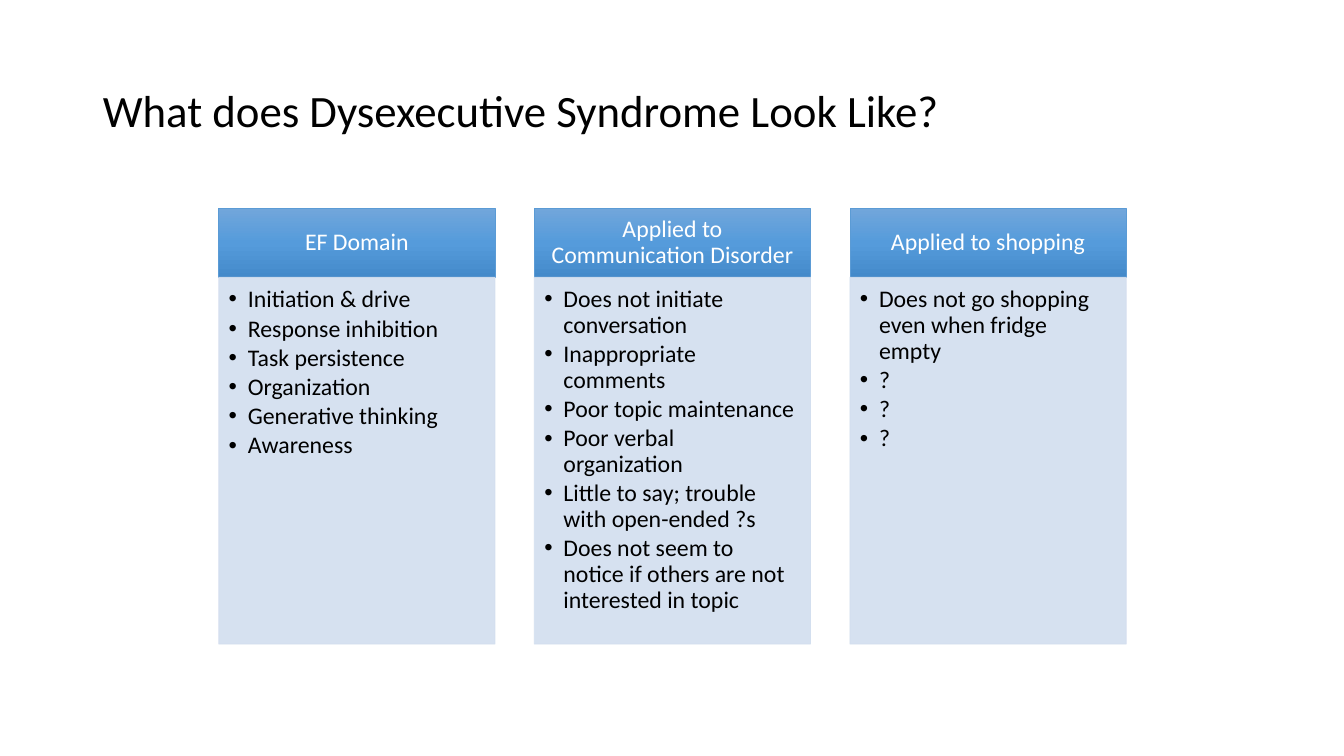
from copy import deepcopy

from lxml import etree
from pptx import Presentation
from pptx.dml.color import RGBColor
from pptx.enum.shapes import MSO_SHAPE
from pptx.enum.text import MSO_ANCHOR, PP_ALIGN
from pptx.oxml.ns import qn
from pptx.util import Inches, Pt

TITLE = "What does Dysexecutive Syndrome Look Like?"
COLUMNS = [
    ("EF Domain", [
        "Initiation & drive",
        "Response inhibition",
        "Task persistence",
        "Organization",
        "Generative thinking",
        "Awareness",
    ]),
    ("Applied to Communication Disorder", [
        "Does not initiate conversation",
        "Inappropriate comments",
        "Poor topic maintenance",
        "Poor verbal organization",
        "Little to say; trouble with open-ended ?s",
        "Does not seem to notice if others are not interested in topic",
    ]),
    ("Applied to shopping", ["Does not go shopping even when fridge empty", "?", "?", "?"]),
]

FONT = "Calibri"
TEXT_SIZE = 17
HEADER_GRADIENT = ["71A6DB", "559BDB", "448ACA"]
HEADER_LINE = "5B9BD5"
BODY_COLOR = "D2DEEF"
LEFT, TOP, PITCH, WIDTH = 2.17, 2.07, 3.13, 2.74
HEADER_HEIGHT, BODY_HEIGHT = 0.68, 3.64
INDENT = Inches(0.19)


def rgb(hex_color):
    return RGBColor.from_string(hex_color)


def add_run(p, text, size, color):
    p.line_spacing = 0.9
    r = p.add_run()
    r.text = text
    r.font.name, r.font.size = FONT, Pt(size)
    r.font.color.rgb = rgb(color)


def add_box(slide, left, top, height, line_color, insets, anchor):
    sp = slide.shapes.add_shape(MSO_SHAPE.RECTANGLE, Inches(left), Inches(top),
                                Inches(WIDTH), Inches(height))
    sp.shadow.inherit = False
    sp.line.color.rgb = rgb(line_color)
    sp.line.width = Pt(0.5)
    tf = sp.text_frame
    tf.word_wrap = True
    tf.vertical_anchor = anchor
    tf.margin_left, tf.margin_top, tf.margin_right, tf.margin_bottom = map(Inches, insets)
    return sp


def fill_header(sp):
    """Fill with an evenly spaced gradient running from top to bottom."""
    sp.fill.gradient()
    sp.fill.gradient_angle = 270
    first = sp._element.spPr.find(".//" + qn("a:gs"))
    first.addnext(deepcopy(first))
    for i, (stop, color) in enumerate(zip(sp.fill.gradient_stops, HEADER_GRADIENT)):
        stop.position = i / 2
        stop.color.rgb = rgb(color)


def fill_body(sp):
    """Fill at 90% opacity, on the outline as well."""
    sp.fill.solid()
    sp.fill.fore_color.rgb = rgb(BODY_COLOR)
    for color in sp._element.spPr.iter(qn("a:srgbClr")):
        etree.SubElement(color, qn("a:alpha"), val="90000")


def add_bullet(p):
    pPr = p._p.get_or_add_pPr()
    pPr.set("marL", str(INDENT))
    pPr.set("indent", str(-INDENT))
    etree.SubElement(pPr, qn("a:buFont"), typeface="Arial")
    etree.SubElement(pPr, qn("a:buChar"), char="•")


def add_column(slide, left, heading, items):
    header = add_box(slide, left, TOP, HEADER_HEIGHT, HEADER_LINE,
                     (0.13, 0.08, 0.13, 0.08), MSO_ANCHOR.MIDDLE)
    fill_header(header)
    p = header.text_frame.paragraphs[0]
    p.alignment = PP_ALIGN.CENTER
    add_run(p, heading, TEXT_SIZE, "FFFFFF")

    body = add_box(slide, left, TOP + HEADER_HEIGHT, BODY_HEIGHT, BODY_COLOR,
                   (0.1, 0.1, 0.13, 0.15), MSO_ANCHOR.TOP)
    fill_body(body)
    tf = body.text_frame
    for i, item in enumerate(items):
        p = tf.add_paragraph() if i else tf.paragraphs[0]
        add_bullet(p)
        p.alignment = PP_ALIGN.LEFT
        p.space_after = Pt(2.5)
        add_run(p, item, TEXT_SIZE, "000000")


def main():
    prs = Presentation()
    prs.slide_width, prs.slide_height = Inches(13.33), Inches(7.5)
    slide = prs.slides.add_slide(prs.slide_layouts[5])

    title = slide.shapes.title
    title.left, title.top = Inches(0.92), Inches(0.4)
    title.width, title.height = Inches(11.5), Inches(1.45)
    title.text_frame.vertical_anchor = MSO_ANCHOR.MIDDLE
    p = title.text_frame.paragraphs[0]
    p.alignment = PP_ALIGN.LEFT
    add_run(p, TITLE, 32, "000000")

    for i, (heading, items) in enumerate(COLUMNS):
        add_column(slide, LEFT + i * PITCH, heading, items)

    prs.save("out.pptx")


if __name__ == "__main__":
    main()
